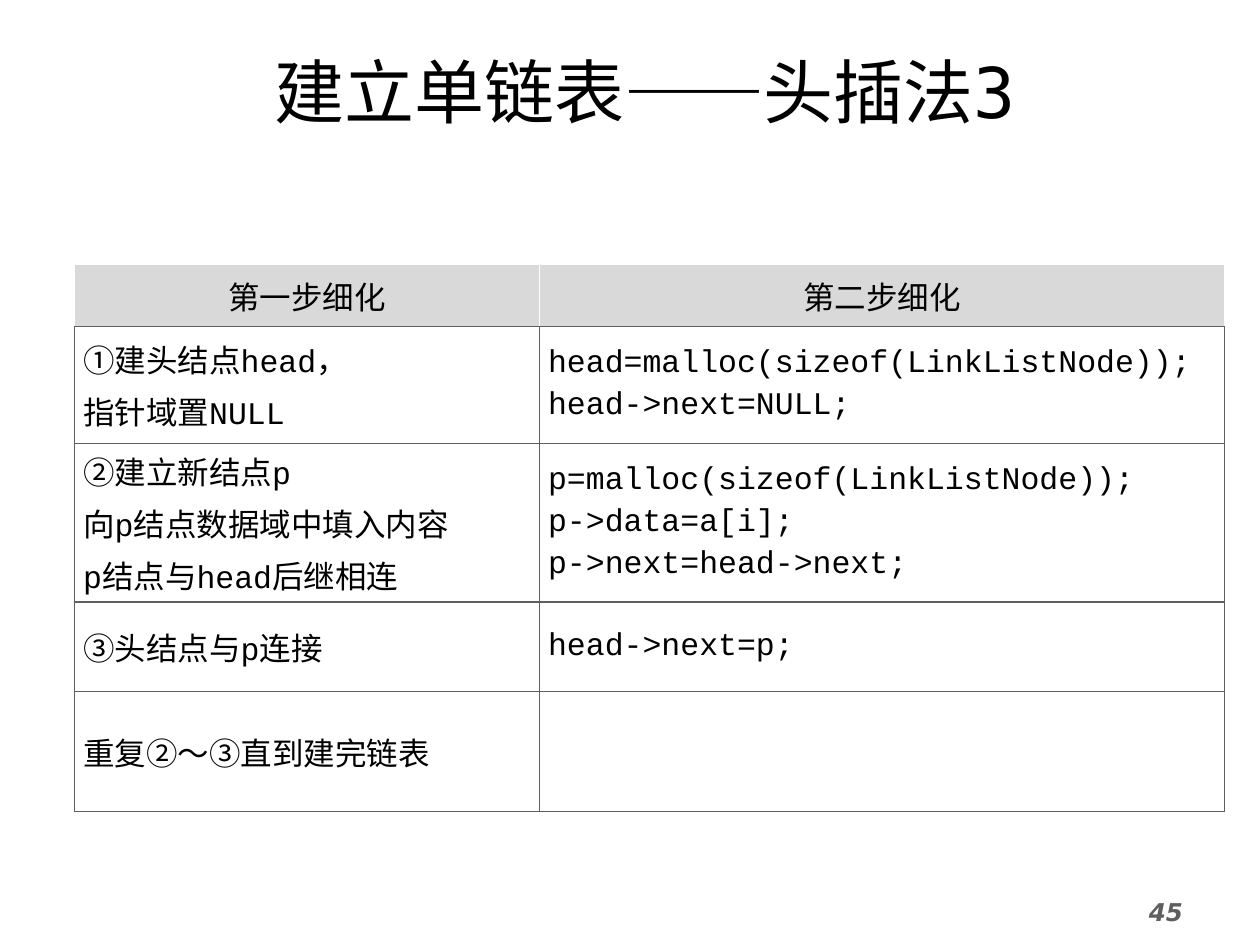
from pptx import Presentation
from pptx.dml.color import RGBColor
from pptx.enum.text import MSO_ANCHOR, PP_ALIGN
from pptx.oxml.ns import qn
from pptx.util import Inches, Pt
from lxml import etree

MIDDLE = MSO_ANCHOR.MIDDLE
TOP = MSO_ANCHOR.TOP
CENTER = PP_ALIGN.CENTER
LEFT = PP_ALIGN.LEFT

BLACK = RGBColor(0x00, 0x00, 0x00)
WHITE = RGBColor(0xFF, 0xFF, 0xFF)
SILVER = RGBColor(0xD9, 0xD9, 0xD9)
GRAY = RGBColor(0x5F, 0x5F, 0x5F)

TITLE = [
    ("建立单链表", "DejaVu Sans Mono"),
    ("——", "Arial"),
    ("头插法3", "DejaVu Sans Mono"),
]
COLS = [3.69, 5.44]
HEIGHTS = [0.49, 0.93, 1.26, 0.71, 0.95]
ROWS = [
    ("第一步细化", "第二步细化"),
    ("①建头结点head，\n指针域置NULL",
     "head=malloc(sizeof(LinkListNode));\nhead->next=NULL;"),
    ("②建立新结点p\n向p结点数据域中填入内容\np结点与head后继相连",
     "p=malloc(sizeof(LinkListNode));\np->data=a[i];\np->next=head->next;"),
    ("③头结点与p连接", "head->next=p;"),
    ("重复②～③直到建完链表", ""),
]


def style(run, font, size, color, strong=False):
    run.font.name = font
    run.font.size = Pt(size)
    run.font.color.rgb = color
    run.font.bold = strong
    run.font.italic = strong


def add_text(slide, place, parts, size, color, align=LEFT, anchor=TOP, strong=False):
    box = slide.shapes.add_textbox(*(Inches(n) for n in place))
    frame = box.text_frame
    frame.word_wrap = True
    frame.vertical_anchor = anchor
    para = frame.paragraphs[0]
    para.alignment = align
    for text, font in parts:
        run = para.add_run()
        run.text = text
        style(run, font, size, color, strong)


def add_edge(cell, side, color):
    props = cell._tc.get_or_add_tcPr()
    line = etree.SubElement(props, qn(f"a:ln{side}"), w=str(Pt(1)))
    fill = etree.SubElement(line, qn("a:solidFill"))
    etree.SubElement(fill, qn("a:srgbClr"), val=str(color))


def fill_cell(cell, text, head):
    cell.vertical_anchor = MIDDLE
    cell.margin_left = cell.margin_right = Inches(0.07)
    cell.margin_top = cell.margin_bottom = 0
    cell.text_frame.text = text
    for i, para in enumerate(cell.text_frame.paragraphs):
        para.alignment = CENTER if head else LEFT
        para.space_before = Pt(3.6 if i else 0)
        for run in para.runs:
            style(run, "Courier New", 18, BLACK)
    for side in "LRTB":
        add_edge(cell, side, WHITE if head and side != "B" else GRAY)
    cell.fill.solid()
    cell.fill.fore_color.rgb = SILVER if head else WHITE


def add_steps(slide):
    frame = slide.shapes.add_table(
        len(ROWS), len(COLS), Inches(0.59), Inches(2.1),
        Inches(sum(COLS)), Inches(sum(HEIGHTS)))
    table = frame.table
    for col, width in zip(table.columns, COLS):
        col.width = Inches(width)
    for row, height in zip(table.rows, HEIGHTS):
        row.height = Inches(height)
    for r, texts in enumerate(ROWS):
        for c, text in enumerate(texts):
            fill_cell(table.cell(r, c), text, r == 0)


def main():
    deck = Presentation()
    deck.slide_width = Inches(10)
    deck.slide_height = Inches(7.5)
    slide = deck.slides.add_slide(deck.slide_layouts[6])
    add_text(slide, (0.35, 0.33, 9.54, 0.77), TITLE, 40, BLACK, CENTER, MIDDLE)
    add_steps(slide)
    add_text(slide, (9.02, 7.07, 1.02, 0.43), [("45", "DejaVu Sans")], 14, GRAY, strong=True)
    deck.save("out.pptx")


if __name__ == "__main__":
    main()
